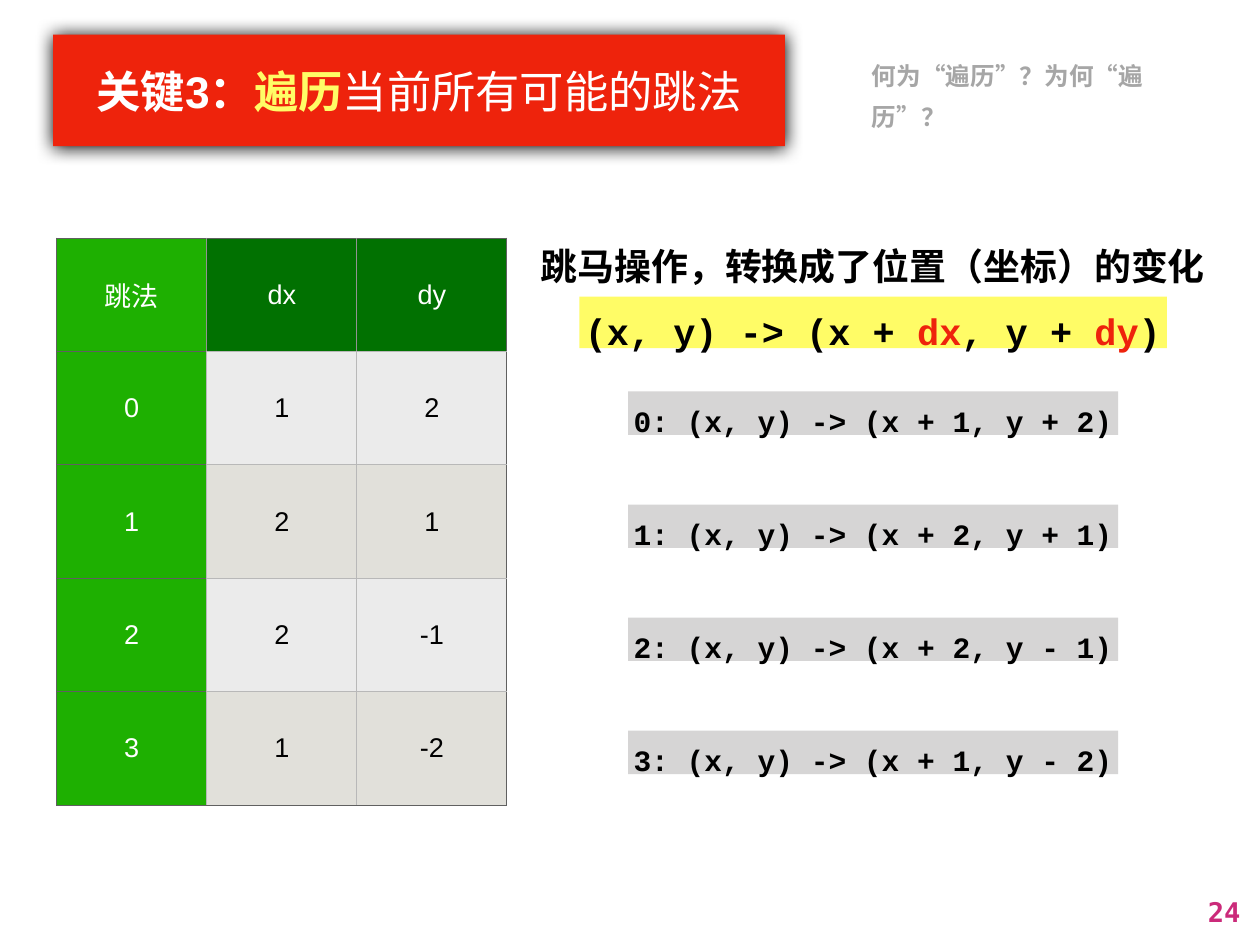
from lxml.etree import SubElement
from pptx import Presentation
from pptx.dml.color import RGBColor
from pptx.enum.shapes import MSO_SHAPE as Shape
from pptx.enum.text import MSO_ANCHOR as Anchor, MSO_AUTO_SIZE as AutoSize, PP_ALIGN as Align
from pptx.oxml import parse_xml
from pptx.oxml.ns import nsdecls, qn
from pptx.util import Inches, Pt

RED, YELLOW, WHITE, BLACK = "EE230C", "FFFC66", "FFFFFF", "000000"
DARK_GREEN, GREEN = "017101", "1EB001"
BODY_FILLS = ("EBEBEB", "E1E0DA")
OUTER, HEADER_RULE, BODY_RULE = "606060", "929292", "B8B8B8"
INSET = 0.06

MOVES = [(1, 2), (2, 1), (2, -1), (1, -2)]


def color(value):
    return RGBColor.from_string(value)


def set_fill(target, value):
    target.fill.solid()
    target.fill.fore_color.rgb = color(value)


def write_text(shape, runs, size, font="Arial", align=Align.LEFT, spacing=None,
               wrap=False, inset=INSET):
    """Fill a shape with one paragraph of (text, colour, bold) runs."""
    frame = shape.text_frame
    frame.word_wrap = wrap
    frame.auto_size = AutoSize.NONE if wrap else AutoSize.SHAPE_TO_FIT_TEXT
    frame.vertical_anchor = Anchor.MIDDLE
    frame.margin_left = frame.margin_right = Inches(inset)
    frame.margin_top = frame.margin_bottom = Inches(inset)
    paragraph = frame.paragraphs[0]
    paragraph.alignment = align
    paragraph.line_spacing = spacing
    paragraph.font.size = Pt(size)
    paragraph.font.name = font
    for text, value, bold in runs:
        run = paragraph.add_run()
        run.text = text
        run.font.color.rgb = color(value)
        run.font.bold = bold


def add_label(slide, box, runs, size, **options):
    label = slide.shapes.add_textbox(*map(Inches, box))
    write_text(label, runs, size, **options)


def add_panel(slide, box, fill, runs, size, **options):
    panel = slide.shapes.add_shape(Shape.RECTANGLE, *map(Inches, box))
    panel.shadow.inherit = False
    set_fill(panel, fill)
    panel.line.fill.background()
    write_text(panel, runs, size, **options)
    return panel


def add_title(slide, box):
    title = add_panel(
        slide, box, RED,
        [("关键3：", WHITE, True), ("遍历", YELLOW, True), ("当前所有可能的跳法", WHITE, False)],
        36, align=Align.CENTER, wrap=True, inset=0.07)
    # Soft dark glow just below the banner
    effects = title._element.spPr.find(qn("a:effectLst"))
    shadow = SubElement(effects, qn("a:outerShdw"), blurRad=str(Pt(15)), dist=str(Pt(0.7)),
                        dir="5400000", algn="ctr", rotWithShape="0")
    SubElement(shadow, qn("a:srgbClr"), val=BLACK)


def set_borders(cell, colors):
    """Draw the left, right, top and bottom borders in the given colours."""
    properties = cell._tc.get_or_add_tcPr()
    for index, (side, value) in enumerate(zip("LRTB", colors)):
        properties.insert(index, parse_xml(
            f'<a:ln{side} {nsdecls("a")} w="{Pt(1)}"><a:solidFill>'
            f'<a:srgbClr val="{value}"/></a:solidFill></a:ln{side}>'))


def add_move_table(slide, box):
    rows = [("跳法", "dx", "dy")] + [(i, dx, dy) for i, (dx, dy) in enumerate(MOVES)]
    last_row, last_column = len(rows) - 1, len(rows[0]) - 1
    table = slide.shapes.add_table(len(rows), len(rows[0]), *map(Inches, box)).table
    table.first_row = table.horz_banding = False
    for r, values in enumerate(rows):
        for c, value in enumerate(values):
            cell = table.cell(r, c)
            header, side = r == 0, c == 0
            fill = GREEN if side else DARK_GREEN if header else BODY_FILLS[(r - 1) % 2]
            set_fill(cell, fill)
            column_rule = HEADER_RULE if header else BODY_RULE
            row_rule = OUTER if side else BODY_RULE
            set_borders(cell, (
                OUTER if side else column_rule,
                OUTER if c == last_column else column_rule,
                OUTER if header else row_rule,
                OUTER if header or r == last_row else row_rule))
            cell.vertical_anchor = Anchor.MIDDLE
            cell.margin_left = cell.margin_right = Inches(INSET)
            cell.margin_top = cell.margin_bottom = Inches(INSET)
            cell.text = str(value)
            paragraph = cell.text_frame.paragraphs[0]
            paragraph.alignment = Align.CENTER
            paragraph.font.size = Pt(22)
            paragraph.font.name = "Arial"
            paragraph.font.bold = False
            paragraph.font.color.rgb = color(WHITE if header or side else BLACK)


def add_formulas(slide, box):
    left, top, width, height = box
    code = {"font": "Courier New", "spacing": 1.4}
    # Heading and general rule
    add_label(slide, (left, top, width, 0.69),
              [("跳马操作，转换成了位置（坐标）的变化", BLACK, True)], 30, spacing=1.4)
    add_panel(slide, (left + 0.5, top + 0.8, 6.63, 0.58), YELLOW,
              [("(x, y) -> (x + ", BLACK, True), ("dx", RED, True), (", y + ", BLACK, True),
               ("dy", RED, True), (")", BLACK, True)], 30, **code)
    # One line per move, level with its table row
    line_height = 0.49
    first = top + 1.87
    step = (height - 1.87 - line_height) / (len(MOVES) - 1)
    for i, (dx, dy) in enumerate(MOVES):
        sign = "-" if dy < 0 else "+"
        text = f"{i}: (x, y) -> (x + {dx}, y {sign} {abs(dy)})"
        add_panel(slide, (left + 1.05, first + i * step, 5.53, line_height), "D6D5D5",
                  [(text, BLACK, True)], 24, **code)


def main():
    presentation = Presentation()
    presentation.slide_width, presentation.slide_height = Inches(14.22), Inches(10.67)
    slide = presentation.slides.add_slide(presentation.slide_layouts[6])
    add_title(slide, (0.6, 0.39, 8.26, 1.26))
    # Side question
    add_label(slide, (9.78, 0.73, 3.48, 0.58), [("何为“遍历”？为何“遍历”？", "A6A6A6", True)],
              20, spacing=1.4, wrap=True)
    add_move_table(slide, (0.64, 2.69, 5.08, 6.4))
    add_formulas(slide, (6.04, 2.55, 7.63, 6.19))
    # Page number
    add_label(slide, (13.55, 10.04, 0.52, 0.5), [("24", "CB2A7A", True)], 22,
              font="DejaVu Sans Mono", align=Align.RIGHT, inset=0.07)
    presentation.save("out.pptx")


if __name__ == "__main__":
    main()
